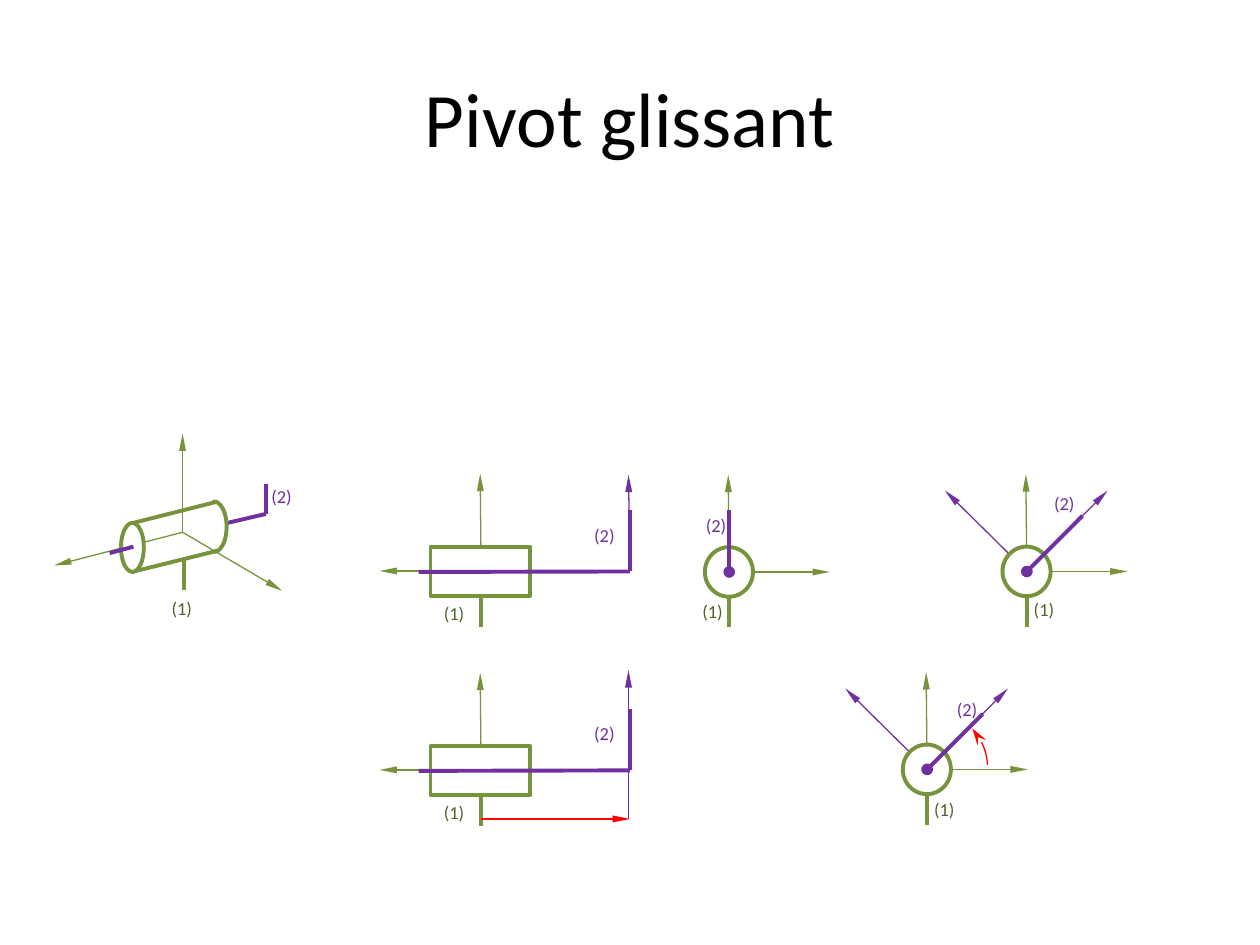
import pptx
import pptx.dml.color
import pptx.enum.shapes
import pptx.enum.text
import pptx.oxml
import pptx.oxml.ns
import pptx.util
from pptx.util import Cm, Pt

RGBColor = pptx.dml.color.RGBColor
SHAPE = pptx.enum.shapes.MSO_SHAPE
ALIGN = pptx.enum.text.PP_ALIGN
BLACK = RGBColor(0x00, 0x00, 0x00)
WHITE = RGBColor(0xFF, 0xFF, 0xFF)
GREEN = RGBColor(0x77, 0x93, 0x3C)
DARK_GREEN = RGBColor(0x4F, 0x62, 0x28)
PURPLE = RGBColor(0x70, 0x30, 0xA0)
RED = RGBColor(0xFF, 0x00, 0x00)

FONT = "Calibri"
TITLE = "Pivot glissant"
THIN, MEDIUM, THICK = 0.75, 2, 2.25
LABEL_SIZE = (0.99, 0.74)
# End type: (width, length)
ENDS = {"triangle": ("sm", "lg"), "oval": ("med", "med"), "stealth": ("med", "lg")}


# Parts of a view, placed in centimetres from the centre of the joint
def axis(end, colour=GREEN, start=(0, 0)):
    return "line", start, end, colour, THIN, "triangle"


def bar(start, end, colour=PURPLE, end_type=None):
    return "line", start, end, colour, THICK, end_type


def outline(kind, box, weight=THICK):
    return "outline", kind, box, weight


def arc(box, angles, colour, weight, end_type=None):
    return "arc", box, angles, colour, weight, end_type


def label(text, position):
    return "label", text, position, DARK_GREEN if text == "(1)" else PURPLE


PERSPECTIVE_VIEW = [
    axis((-2.59, 0.67)),
    bar((0.71, -0.62), (-0.99, -0.19), GREEN),
    axis((0, -1.99)),
    axis((2.01, 1.18)),
    bar((0.03, 1.16), (0.03, 0.54), GREEN),
    bar((0.71, 0.37), (-1.02, 0.8), GREEN),
    outline(SHAPE.OVAL, (-1.24, -0.19, 0.46, 0.99)),
    bar((-0.99, 0.29), (-1.47, 0.42)),
    bar((1.68, -0.37), (0.91, -0.19)),
    arc((0.38, -0.62, 0.51, 1.02), (267.26, 88.87), GREEN, THICK),
    bar((1.68, -0.98), (1.68, -0.37)),
    label("(2)", (1.5, -1.1)),
    label("(1)", (-0.51, 1.16)),
]


def side_view(moving_axis, extra=()):
    return [
        axis((-0.02, -1.96)),
        axis((-2.05, 0)),
        outline(SHAPE.RECTANGLE, (-1.02, -0.48, 2.01, 0.99), MEDIUM),
        bar((0, 1.13), (0, 0.52), GREEN),
        bar((3, -1.23), (3, 0.01)),
        moving_axis,
        bar((3, 0.01), (-1.26, 0.02)),
        label("(1)", (-1.04, 0.49)),
        label("(2)", (1.99, -1.1)),
        *extra,
    ]


def end_view(rod_end, label_1, label_2, moving_axes=(), extra=()):
    return [
        *moving_axes,
        axis((-0.02, -1.96)),
        axis((2.03, 0)),
        bar((0, 1.12), (0, 0), GREEN),
        outline(SHAPE.OVAL, (-0.49, -0.5, 0.97, 1)),
        bar(rod_end, (0, 0), PURPLE, "oval"),
        label("(1)", label_1),
        label("(2)", label_2),
        *extra,
    ]


TURNED_AXES = [axis((x, -1.63), PURPLE) for x in (-1.65, 1.63)]
TURNED_ROD = (1.12, -1.12)
TRANSLATION = axis((3, 0.99), RED, (0, 0.99))
ROTATION = arc((-1.24, -1.24, 2.46, 2.44), (318.97, 356.66), RED, THIN, "stealth")

# (centre, parts, grouped)
VIEWS = [
    ((3.68, 10.73), PERSPECTIVE_VIEW, False),
    ((14.7, 11.53), end_view((0, -1.24), (-0.83, 0.43), (-0.76, -1.32)), False),
    ((20.7, 11.52),
     end_view(TURNED_ROD, (-0.15, 0.39), (0.26, -1.74), TURNED_AXES), False),
    ((9.7, 15.52),
     side_view(axis((2.97, -2.01), PURPLE, (2.97, 0.99)), [TRANSLATION]), False),
    ((18.69, 15.51),
     end_view(TURNED_ROD, (-0.15, 0.44), (0.31, -1.59), TURNED_AXES, [ROTATION]),
     False),
    ((9.7, 11.51), side_view(axis((2.97, -1.94), PURPLE, (3, 0))), True),
]


def set_line(shape, colour, weight):
    shape.line.color.rgb = colour
    shape.line.width = Pt(weight)


def add_line_end(shape, tag, end_type):
    width, length = ENDS[end_type]
    end = pptx.oxml.parse_xml(
        f'<a:{tag} {pptx.oxml.ns.nsdecls("a")} type="{end_type}" w="{width}" len="{length}"/>')
    shape.line._get_or_add_ln().append(end)


def add_text(shapes, box, text, size, colour, wrap):
    text_box = shapes.add_textbox(*map(Cm, box))
    frame = text_box.text_frame
    frame.word_wrap = wrap
    frame.vertical_anchor = pptx.enum.text.MSO_ANCHOR.MIDDLE
    paragraph = frame.paragraphs[0]
    paragraph.alignment = ALIGN.CENTER
    run = paragraph.add_run()
    run.text = text
    run.font.name = FONT
    run.font.size = Pt(size)
    run.font.color.rgb = colour


def add_preset(shapes, kind, centre, box, colour, weight):
    left, top, width, height = box
    shape = shapes.add_shape(
        kind, Cm(centre[0] + left), Cm(centre[1] + top), Cm(width), Cm(height))
    shape.shadow.inherit = False
    set_line(shape, colour, weight)
    return shape


def draw_line(shapes, centre, start, end, colour, weight, end_type):
    points = [Cm(c + d) for point in (start, end) for c, d in zip(centre, point)]
    connector = shapes.add_connector(
        pptx.enum.shapes.MSO_CONNECTOR.STRAIGHT, *points)
    set_line(connector, colour, weight)
    if end_type:
        add_line_end(connector, "tailEnd", end_type)
    connector._element.spPr.append(
        pptx.oxml.parse_xml(f'<a:effectLst {pptx.oxml.ns.nsdecls("a")}/>'))


def draw_outline(shapes, centre, kind, box, weight):
    shape = add_preset(shapes, kind, centre, box, GREEN, weight)
    shape.fill.solid()
    shape.fill.fore_color.rgb = WHITE


def draw_arc(shapes, centre, box, angles, colour, weight, end_type):
    shape = add_preset(shapes, SHAPE.ARC, centre, box, colour, weight)
    shape.fill.background()
    for index, degrees in enumerate(angles):
        shape.adjustments[index] = degrees * 0.6
    if end_type:
        add_line_end(shape, "headEnd", end_type)


def draw_label(shapes, centre, text, position, colour):
    left, top = (c + d for c, d in zip(centre, position))
    add_text(shapes, (left, top, *LABEL_SIZE), text, 10.5, colour, False)


DRAW = {"line": draw_line, "outline": draw_outline, "arc": draw_arc, "label": draw_label}


def main():
    presentation = pptx.Presentation()
    presentation.slide_width = Cm(25.4)
    presentation.slide_height = Cm(19.05)
    slide = presentation.slides.add_slide(presentation.slide_layouts[6])
    add_text(slide.shapes, (1.27, 0.76, 22.86, 3.18), TITLE, 44, BLACK, True)
    for centre, parts, grouped in VIEWS:
        shapes = slide.shapes.add_group_shape().shapes if grouped else slide.shapes
        for kind, *values in parts:
            DRAW[kind](shapes, centre, *values)
    presentation.save("out.pptx")


if __name__ == "__main__":
    main()
